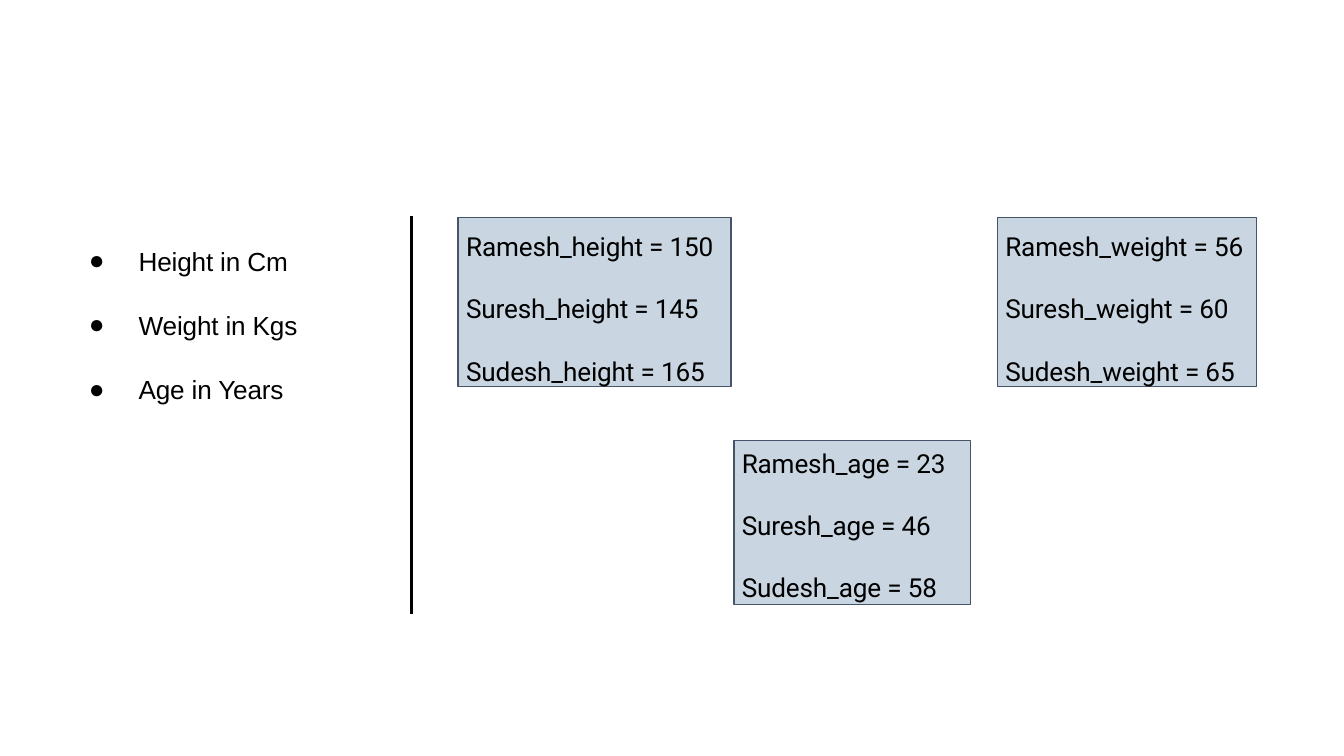
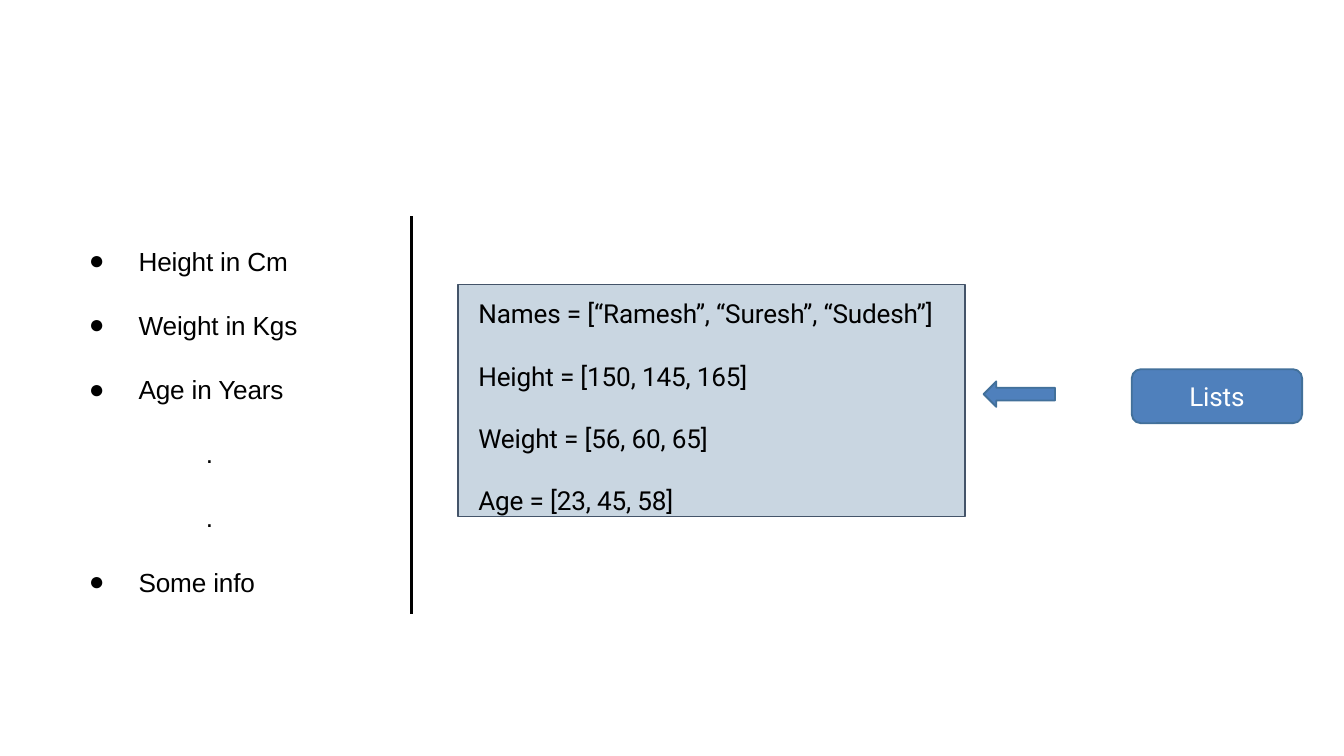
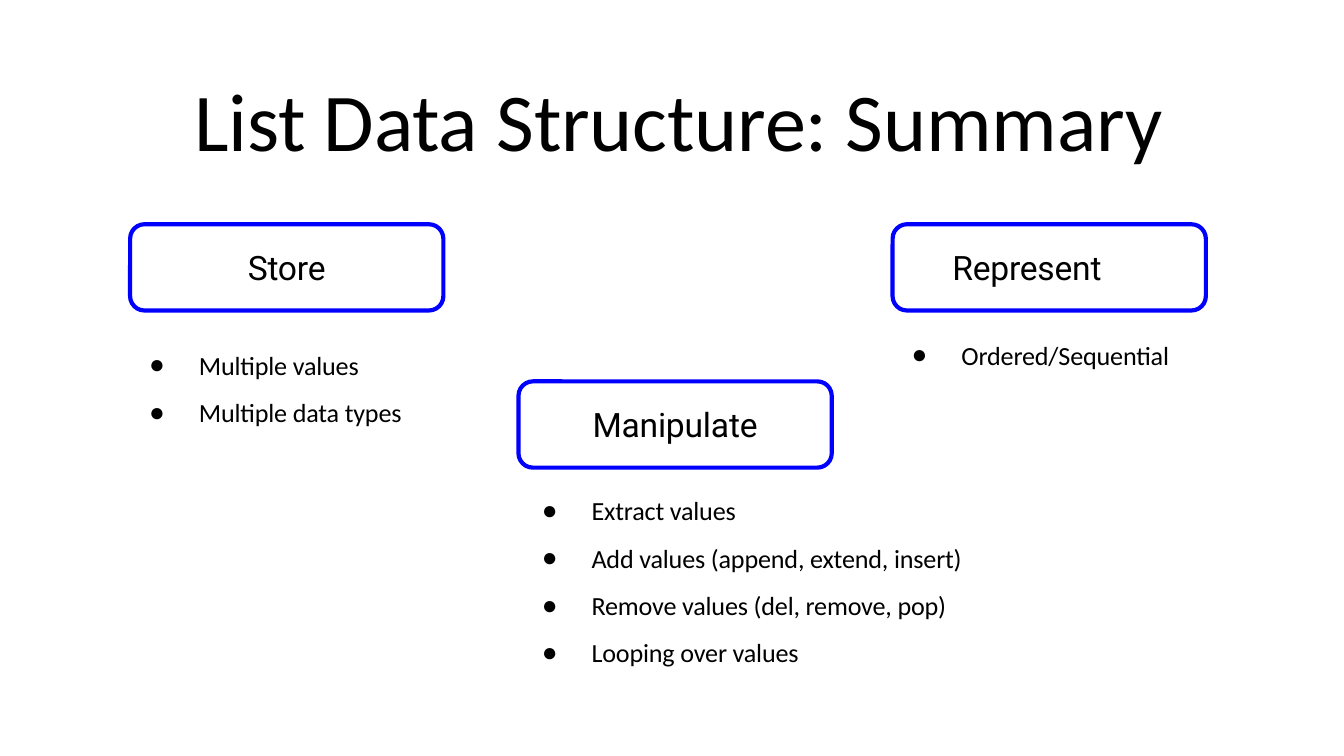
"""Build three slides on storing records in variables and lists."""
from dataclasses import dataclass

from lxml import etree
from pptx import Presentation
from pptx import util as u
from pptx.dml.color import RGBColor
from pptx.enum import shapes, text
from pptx.oxml.ns import qn


@dataclass(frozen=True)
class Theme:
    """Colours, fonts and type sizes shared by the slides."""
    ink: str = "000000"
    paper: str = "FFFFFF"
    code_fill: str = "0B4679"
    code_line: str = "445469"
    code_alpha: int = 22
    accent: str = "4F80BC"
    accent_line: str = "42709A"
    outline: str = "0000FF"
    list_font: str = "Arial"
    text_font: str = "Calibri"
    code_font: str = "Roboto"
    title_size: int = 44
    heading_size: int = 18
    body_size: int = 14


T = Theme()
DOT = "."


def remove(sp):
    """Take an unused placeholder off its slide."""
    sp.element.getparent().remove(sp.element)


def place(sp, box):
    """Move and size a shape to a box given in centimetres."""
    sp.left, sp.top, sp.width, sp.height = (u.Cm(v) for v in box)


def write(sp, lines, font, size, color=T.ink, align=text.PP_ALIGN.LEFT,
          anchor=text.MSO_ANCHOR.TOP, insets=(0, 0, 0, 0), gap=0):
    """Fill a shape with one formatted paragraph for each line."""
    tf = sp.text_frame
    tf.text = "\n".join(lines)
    tf.word_wrap = True
    tf.auto_size = text.MSO_AUTO_SIZE.NONE
    tf.vertical_anchor = anchor
    tf.margin_left, tf.margin_top, tf.margin_right, tf.margin_bottom = (
        u.Cm(v) for v in insets)
    for p in tf.paragraphs:
        p.alignment = align
        p.space_before = u.Pt(gap)
        for r in p.runs:
            r.font.name = font
            r.font.size = u.Pt(size)
            r.font.bold = False
            r.font.color.rgb = RGBColor.from_string(color)
            r.font._element.set("spc", "-10")


def bullet_list(sp, box, items, font, gap, top=0.03):
    """Turn a body placeholder into a bulleted list, with dots left bare."""
    place(sp, box)
    write(sp, items, font, T.body_size, insets=(0, top, 0, 0), gap=gap)
    for p in sp.text_frame.paragraphs:
        bare = p.text == DOT
        pPr = p._p.get_or_add_pPr()
        pPr.set("marL", str(u.Cm(2.24 if bare else 0.97)))
        pPr.set("indent", str(u.Cm(0 if bare else -0.94)))
        bullet = etree.SubElement(pPr, qn("a:buNone" if bare else "a:buChar"))
        if not bare:
            bullet.set("char", "●")


def add_shape(s, kind, box, line, width, fill=None):
    """Add a flat preset shape with the given outline and fill."""
    sp = s.shapes.add_shape(kind, *(u.Cm(v) for v in box))
    sp.shadow.inherit = False
    if fill:
        sp.fill.solid()
        sp.fill.fore_color.rgb = RGBColor.from_string(fill)
    else:
        sp.fill.background()
    sp.line.color.rgb = RGBColor.from_string(line)
    sp.line.width = u.Pt(width)
    return sp


def code_box(s, box, lines, left=0.15, top=0.25):
    """Add a tinted box of assignments."""
    sp = add_shape(s, shapes.MSO_SHAPE.RECTANGLE, box, T.code_line, 0.75,
                   T.code_fill)
    color = sp.element.spPr.find(qn("a:solidFill")).find(qn("a:srgbClr"))
    etree.SubElement(color, qn("a:alpha")).set("val", str(T.code_alpha * 1000))
    write(sp, lines, T.code_font, T.body_size, insets=(left, top, 0, 0),
          gap=16.5)


def record_slide(prs, items):
    """Add a slide with the list of facts and the divider beside it."""
    s = prs.slides.add_slide(prs.slide_layouts[1])
    remove(s.shapes.title)
    bullet_list(s.placeholders[1], (1.65, 4.6, 5.6, 1.19 * len(items) - 0.55),
                items, T.list_font, 17.6)
    divider = s.shapes.add_connector(shapes.MSO_CONNECTOR.STRAIGHT, u.Cm(7.77),
                                     u.Cm(4.09), u.Cm(7.77), u.Cm(11.61))
    divider.line.color.rgb = RGBColor.from_string(T.ink)
    divider.line.width = u.Pt(1.5)
    etree.SubElement(divider.element.spPr, qn("a:effectLst"))
    return s


def variables_slide(prs, facts):
    """Show one variable for each person and measure."""
    s = record_slide(prs, facts)
    people = ("Ramesh", "Suresh", "Sudesh")
    measures = (
        ("height", (150, 145, 165), (8.66, 4.11, 5.16, 3.2), 0.25),
        ("weight", (56, 60, 65), (18.85, 4.11, 4.9, 3.2), 0.25),
        ("age", (23, 46, 58), (13.87, 8.33, 4.47, 3.1), 0.13),
    )
    for measure, values, box, top in measures:
        lines = [f"{who}_{measure} = {v}" for who, v in zip(people, values)]
        code_box(s, box, lines, top=top)


def lists_slide(prs, facts):
    """Show the same records gathered into lists."""
    s = record_slide(prs, facts + [DOT, DOT, "Some info"])
    code_box(s, (8.66, 5.38, 9.58, 4.39), (
        "Names = [“Ramesh”, “Suresh”, “Sudesh”]",
        "Height = [150, 145, 165]",
        "Weight = [56, 60, 65]",
        "Age = [23, 45, 58]",
    ), left=0.38)
    label = add_shape(s, shapes.MSO_SHAPE.ROUNDED_RECTANGLE,
                      (21.39, 6.98, 3.22, 1.02), T.accent_line, 1, T.accent)
    write(label, ["Lists"], T.code_font, T.body_size, T.paper,
          text.PP_ALIGN.CENTER, text.MSO_ANCHOR.MIDDLE)
    add_shape(s, shapes.MSO_SHAPE.LEFT_ARROW, (18.59, 7.21, 1.35, 0.48),
              T.accent_line, 1, T.accent)


def topic(s, body, x, y, heading, items, list_box, right=0):
    """Add an outlined heading and its list, placed from the heading's corner."""
    sp = add_shape(s, shapes.MSO_SHAPE.ROUNDED_RECTANGLE, (x, y, 5.92, 1.63),
                   T.outline, 2.25)
    write(sp, [heading], T.code_font, T.heading_size,
          align=text.PP_ALIGN.CENTER, anchor=text.MSO_ANCHOR.MIDDLE,
          insets=(0, 0, right, 0))
    dx, dy, w, h = list_box
    bullet_list(body, (x + dx, y + dy, w, h), items, T.text_font, 8.6, 0.33)


def summary_slide(prs):
    """Sum up what a list can do under three headings."""
    s = prs.slides.add_slide(prs.slide_layouts[4])
    place(s.shapes.title, (2.34, 1.3, 20.96, 1.9))
    write(s.shapes.title, ["List Data Structure: Summary"], T.text_font,
          T.title_size, align=text.PP_ALIGN.CENTER,
          anchor=text.MSO_ANCHOR.MIDDLE)
    topic(s, s.placeholders[1], 2.46, 4.24, "Store",
          ["Multiple values", "Multiple data types"], (0.33, 2.03, 5.26, 1.85))
    topic(s, s.placeholders[2], 9.8, 7.21, "Manipulate",
          ["Extract values", "Add values (append, extend, insert)",
           "Remove values (del, remove, pop)", "Looping over values"],
          (0.41, 1.81, 8.64, 4.29))
    topic(s, s.placeholders[3], 16.87, 4.24, "Represent",
          ["Ordered/Sequential"], (0.33, 1.84, 5.46, 0.94), right=0.84)
    remove(s.placeholders[4])


def main():
    """Build and save the presentation."""
    prs = Presentation()
    prs.slide_width, prs.slide_height = u.Cm(25.4), u.Cm(14.29)
    facts = ["Height in Cm", "Weight in Kgs", "Age in Years"]
    variables_slide(prs, facts)
    lists_slide(prs, facts)
    summary_slide(prs)
    prs.save("out.pptx")


if __name__ == "__main__":
    main()
